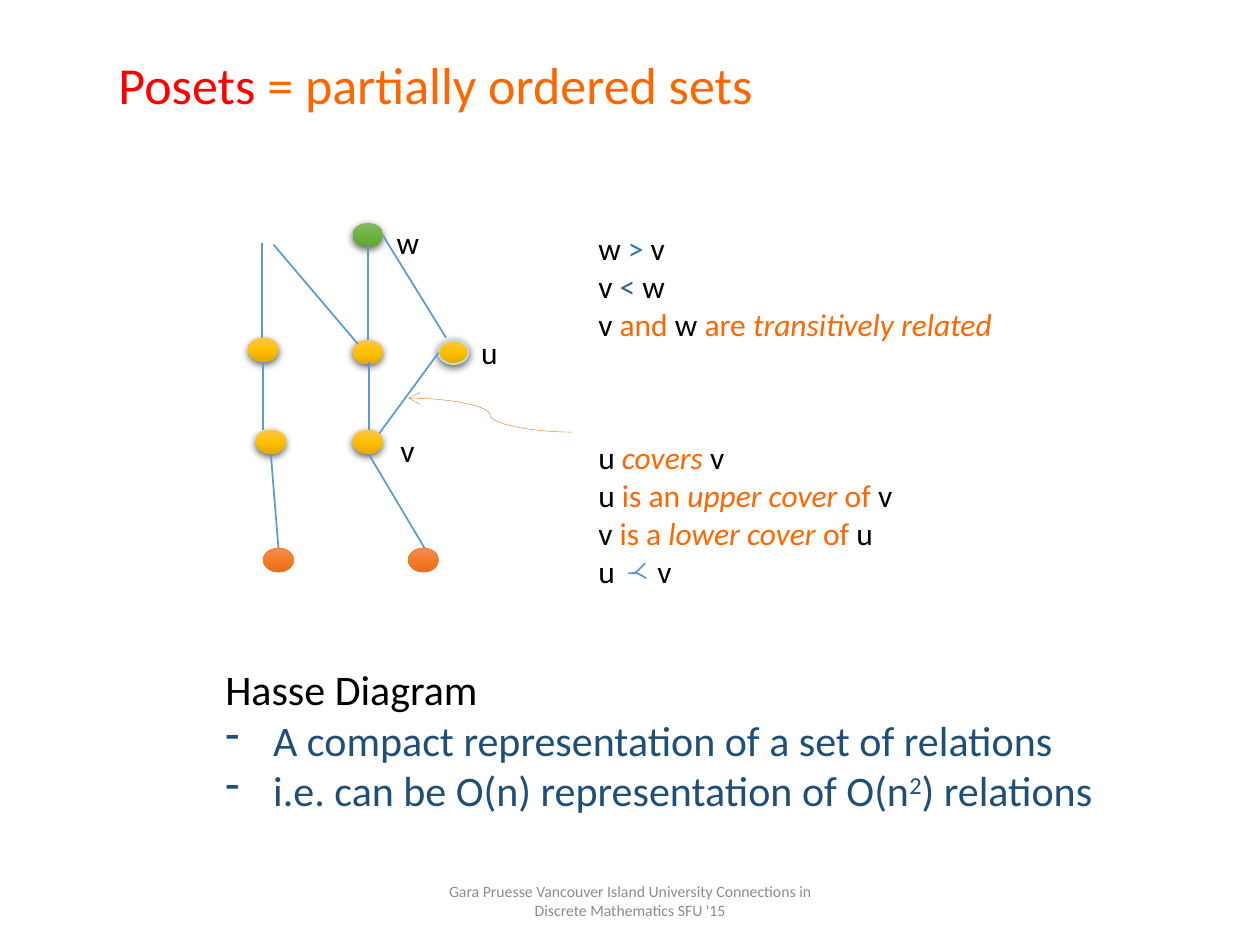
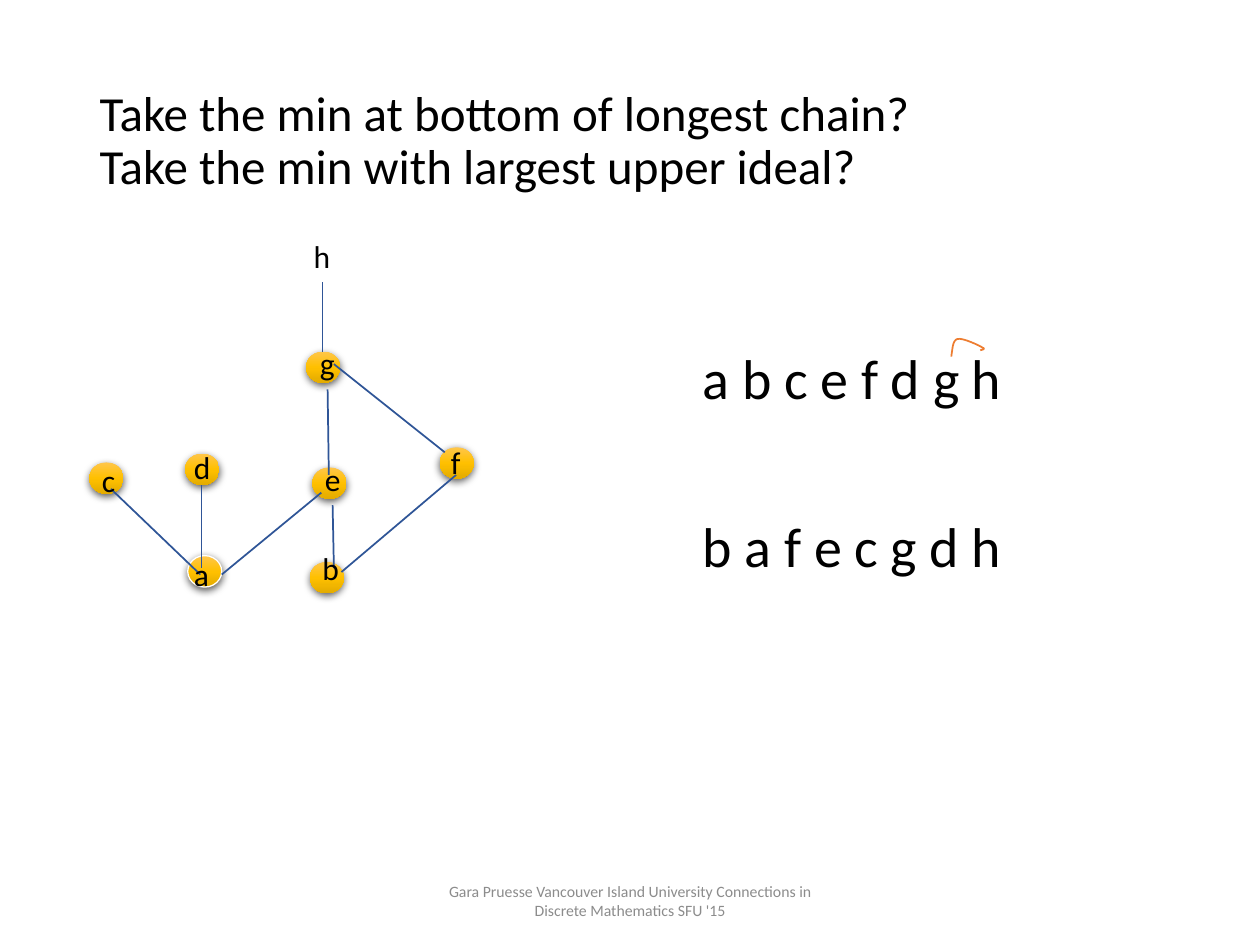
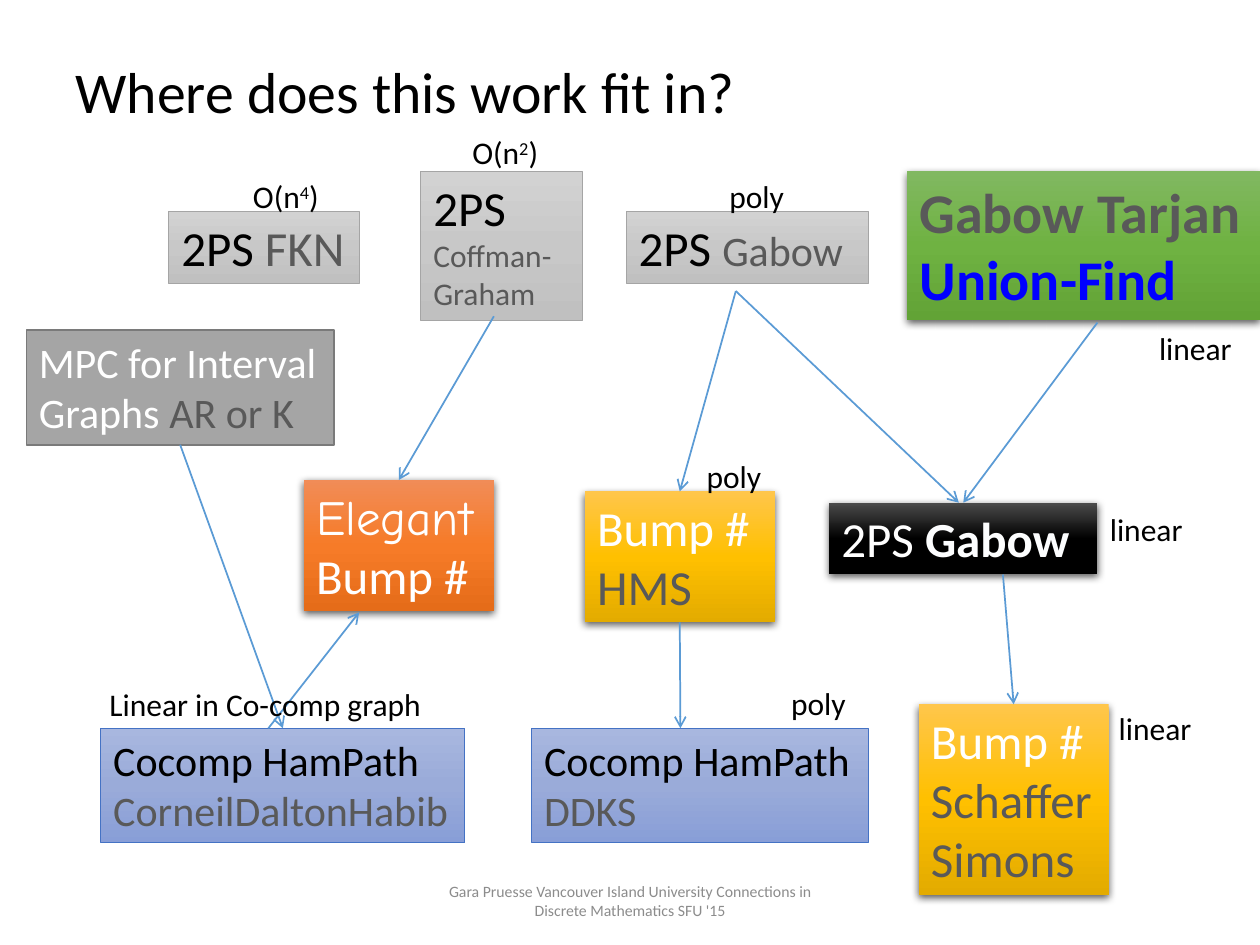
from dataclasses import dataclass

import lxml.etree
import pptx
import pptx.dml.color
import pptx.enum.shapes
import pptx.enum.text
import pptx.oxml.ns
import pptx.util

SHAPE = pptx.enum.shapes.MSO_SHAPE
CONNECTOR = pptx.enum.shapes.MSO_CONNECTOR
ANCHOR = pptx.enum.text.MSO_ANCHOR
ALIGN = pptx.enum.text.PP_ALIGN
FIT = pptx.enum.text.MSO_AUTO_SIZE

COLUMNS, ROWS = 100, 75
TOP, BOTTOM = 0, 2
FACE = "Calibri"
FOOTER = "Gara Pruesse Vancouver Island University Connections in Discrete Mathematics SFU '15"

BLACK, WHITE, GREY, BLUE = "000000", "FFFFFF", "595959", "5B9BD5"
ACCENT, NAVY, CURVE_INK, EDGE_INK = "FF6600", "1F4E79", "ED7D31", "2F5597"
GOLD = ("FFC64B", "FFC000", "E3AB00")
GREEN = ("81B861", "6FB242", "62A336")
ORANGE = ("F18C57", "F67B28", "E56C19")
SILVER = ("D2D2D2", "C8C8C8", "C0C0C0")
PERIWINKLE = ("A8B7DF", "9AABD9", "889ED7")
COAL = ("4B4B4B", "000000", "000000")


@dataclass
class Span:
    """A piece of text with what differs from its paragraph."""
    text: str
    color: str = None
    size: float = None
    italic: bool = None
    bold: bool = None
    face: str = None
    raised: bool = False


def rgb(hex_color):
    return pptx.dml.color.RGBColor.from_string(hex_color)


def child(parent, name, **attributes):
    return lxml.etree.SubElement(parent, pptx.oxml.ns.qn(name), attributes)


def accent(text, italic=None):
    return Span(text, ACCENT, italic=italic)


def grey(text, size=None):
    return Span(text, GREY, size)


def power(before, exponent, after):
    return [before, Span(exponent, raised=True), after]


def cubic(start, first, second, end, steps=8):
    """Points along a Bezier curve, without its start."""
    points = []
    for step in range(1, steps + 1):
        t = step / steps
        weights = ((1 - t) ** 3, 3 * t * (1 - t) ** 2, 3 * t ** 2 * (1 - t), t ** 3)
        points.append(tuple(sum(w * p[axis] for w, p in zip(weights, (start, first, second, end)))
                            for axis in (0, 1)))
    return points


class Talk:
    def __init__(self):
        self.deck = pptx.Presentation()
        self.deck.slide_width = pptx.util.Inches(10)
        self.deck.slide_height = pptx.util.Inches(7.5)
        self.page = None

    def place(self, *lengths):
        """Turn alternating columns and rows into slide lengths."""
        units = (self.deck.slide_width / COLUMNS, self.deck.slide_height / ROWS)
        return [round(length * units[i % 2]) for i, length in enumerate(lengths)]

    def start(self, at, lines, size):
        """Open a page with its title and the shared footer."""
        self.page = self.deck.slides.add_slide(self.deck.slide_layouts[5])
        title = self.page.shapes.title
        title.left, title.top, title.width, title.height = self.place(*at)
        self.set_text(title, lines, size, anchor=ANCHOR.MIDDLE, fit=FIT.NONE)
        for para in title.text_frame.paragraphs:
            para.line_spacing = 0.9
        box = self.page.shapes.add_textbox(*self.place(33.1, 69.5, 33.8, 4))
        self.set_text(box, [[FOOTER]], 9, "8C8C8C", anchor=ANCHOR.MIDDLE, fit=FIT.NONE)
        box.text_frame.paragraphs[0].alignment = ALIGN.CENTER

    def set_text(self, box, lines, size, color=BLACK, wrap=True, anchor=ANCHOR.TOP,
                 fit=FIT.SHAPE_TO_FIT_TEXT):
        frame = box.text_frame
        frame.word_wrap, frame.vertical_anchor, frame.auto_size = wrap, anchor, fit
        for index, line in enumerate(lines):
            para = frame.paragraphs[0] if index == 0 else frame.add_paragraph()
            para.alignment = ALIGN.LEFT
            para.font.name, para.font.size = FACE, pptx.util.Pt(size)
            para.font.color.rgb = rgb(color)
            for piece in line:
                self.add_span(para, piece if isinstance(piece, Span) else Span(piece))

    def add_span(self, para, piece):
        span = para.add_run()
        span.text = piece.text
        span.font.italic, span.font.bold = piece.italic, piece.bold
        if piece.face:
            span.font.name = piece.face
        if piece.size:
            span.font.size = pptx.util.Pt(piece.size)
        if piece.color:
            span.font.color.rgb = rgb(piece.color)
        if piece.raised:
            span.font._element.set("baseline", "30000")

    def label(self, at, *lines, size=18):
        box = self.page.shapes.add_textbox(*self.place(*at))
        self.set_text(box, lines, size, wrap=False)
        return box

    def solid(self, kind, at, fill, line=None, weight=0.5, shadow=False):
        """A preset shape; a tuple as fill is a top-to-bottom gradient."""
        shape = self.page.shapes.add_shape(kind, *self.place(*at))
        if isinstance(fill, tuple):
            shape.fill.gradient()
            shape.fill.gradient_angle = 270
            stops = shape._element.spPr.find(".//" + pptx.oxml.ns.qn("a:gsLst"))
            stops.clear()
            for position, color in zip(("0", "50000", "100000"), fill):
                child(child(stops, "a:gs", pos=position), "a:srgbClr", val=color)
        else:
            shape.fill.solid()
            shape.fill.fore_color.rgb = rgb(fill)
        if line:
            self.stroke(shape, line, weight)
        else:
            shape.line.fill.background()
        shape.shadow.inherit = False
        if shadow:
            effects = shape._element.spPr.find(pptx.oxml.ns.qn("a:effectLst"))
            outer = child(effects, "a:outerShdw", blurRad="57150", dist="19050",
                          dir="5400000", algn="ctr", rotWithShape="0")
            child(child(outer, "a:srgbClr", val=BLACK), "a:alpha", val="63000")
        return shape

    def stroke(self, shape, color, weight):
        shape.line.color.rgb = rgb(color)
        shape.line.width = pptx.util.Pt(weight)

    def node(self, at, size, fill=GOLD, line=None, weight=0.5, shadow=True):
        return self.solid(SHAPE.OVAL, (*at, *size), fill, line, weight, shadow)

    def block(self, at, fill, *lines, size=28, color=WHITE, line=None, weight=0.5, wrap=True):
        """A rectangle with text; it has either an outline or a shadow."""
        shape = self.solid(SHAPE.RECTANGLE, at, fill, line, weight, shadow=line is None)
        self.set_text(shape, lines, size, color, wrap)
        return shape

    def edge(self, ends, color=BLUE, weight=1, arrow=False, kind=CONNECTOR.STRAIGHT,
             begin=None, end=None):
        """A connector; begin and end may each be a (shape, side) to join."""
        edge = self.page.shapes.add_connector(kind, *self.place(*ends))
        if begin:
            edge.begin_connect(*begin)
        if end:
            edge.end_connect(*end)
        self.stroke(edge, color, weight)
        outline = edge._element.spPr
        if arrow:
            child(outline.find(pptx.oxml.ns.qn("a:ln")), "a:tailEnd", type="arrow")
        child(outline, "a:effectLst")

    def curve(self, start, pieces, color):
        """An open outline of Bezier pieces (two handles and an end each)."""
        points = [start]
        for piece in pieces:
            points += cubic(points[-1], *piece)
        points = [self.place(*point) for point in points]
        builder = self.page.shapes.build_freeform(*points[0])
        builder.add_line_segments(points[1:], close=False)
        shape = builder.convert_to_shape()
        shape.fill.background()
        self.stroke(shape, color, 1)
        shape.shadow.inherit = False


def add_hasse_page(talk):
    talk.start((8.4, 6.2, 90, 1.5),
               [[Span("Posets ", "FF0000"), accent("= partially ordered sets")]], 29.7)
    dot = (2.4, 1.9)
    talk.node((28, 17.7), dot, GREEN)
    for at in ((28, 27), (19.7, 26.8), (28, 34.1), (20.3, 34.1)):
        talk.node(at, dot)
    talk.node((34.8, 27), dot, line="BBE0E3", weight=1)
    for left in (32.4, 20.9):
        talk.node((left, 43.5), dot, ORANGE, line=CURVE_INK, shadow=False)
    for name, left, top in (("u", 37.2, 25.9), ("v", 30.8, 33.7), ("w", 30.5, 17.2)):
        talk.label((left, top, 3.3, 4), [name])

    points = talk.label((16.9, 52.2, 71.7, 13.1), ["Hasse Diagram"],
                        [Span("A compact representation of a set of relations", NAVY)],
                        [Span("i.e. can be O(n) representation of O(n", NAVY),
                         Span("2", NAVY, raised=True), Span(") relations", NAVY)], size=24)
    for para in points.text_frame.paragraphs[1:]:
        layout = para._p.get_or_add_pPr()
        indent = pptx.util.Inches(0.38)
        layout.set("marL", str(indent))
        layout.set("indent", str(-indent))
        bullet = child(layout, "a:buChar", char="-")
        layout.insert(0, bullet)

    talk.edge((45.4, 34.3, 32.4, 31.6), CURVE_INK, 0.25, arrow=True, kind=CONNECTOR.CURVE)
    covers = talk.label((46.5, 34.3, 25.6, 13.1),
                        ["u ", accent("covers", True), " v"],
                        ["u ", accent("is an "), accent("upper cover ", True), accent("of "), "v"],
                        ["v ", accent("is a "), accent("lower cover ", True), accent("of"), " u"],
                        ["u\tv"])
    layout = covers.text_frame.paragraphs[-1]._p.get_or_add_pPr()
    tabs = child(layout, "a:tabLst")
    child(tabs, "a:tab", pos=str(pptx.util.Inches(0.47)), algn="l")
    layout.insert(0, tabs)
    talk.curve((51.2, 44.7), [((50.9, 45), (50.7, 45.2), (50.5, 45.4)),
                              ((50.3, 45.5), (49.9, 45.5), (49.9, 45.5)),
                              ((49.9, 45.5), (50.4, 45.5), (50.6, 45.5)),
                              ((50.8, 45.6), (51.3, 45.9), (51.3, 45.9))], BLUE)
    talk.label((46.5, 17.7, 34.1, 13.1),
               ["w", Span(" > ", "2E75B6"), "v"],
               ["v ", Span("< ", "376092"), "w"],
               ["v ", accent("and"), " w ", accent("are "), accent("transitively related", True)])
    for ends in ((21.5, 36.1, 22.1, 43.5), (34.8, 28, 30.1, 34.4), (20.8, 19.3, 20.8, 26.8),
                 (29.2, 19.5, 29.2, 27), (20.9, 28.7, 20.9, 34.1), (29.3, 36.1, 33.7, 43.5),
                 (30.4, 18.7, 35.4, 26.8), (29.3, 28.7, 29.3, 34.1), (21.7, 19.4, 28.4, 27.3)):
        talk.edge(ends)


def add_chain_page(talk):
    talk.start((6.9, 4, 86.2, 14.5), [["Take the min at bottom of longest chain?"],
                                      ["Take the min with largest upper ideal?"]], 28)
    dot = (2.7, 2.5)
    for at in ((24.3, 27.9), (34.9, 35.5), (14.7, 36), (7.1, 36.7), (24.6, 44.6), (24.8, 37.1)):
        talk.node(at, dot)
    talk.node((14.9, 44.1), dot, line=WHITE, weight=0.75)
    for ends in ((16, 38.5, 16, 45.1), (25.6, 22.4, 25.6, 27.9), (26.5, 28.9, 35.3, 35.9),
                 (26, 30.9, 26.1, 37.7), (17.6, 45.6, 25.5, 39.1), (26.4, 40.1, 26.5, 45.1),
                 (36.2, 37.7, 27.1, 45.4), (8.8, 38.8, 15.9, 45.6)):
        talk.edge(ends, EDGE_INK)
    for name, left, top in (("b", 24.6, 43.1), ("e", 24.8, 36), ("c", 7.1, 36.1),
                            ("g", 24.4, 26.8), ("d", 14.4, 35.1), ("a", 14.4, 43.6),
                            ("f", 34.8, 34.7), ("h", 23.9, 18.3)):
        talk.label((left, top, 3.2, 4), [name])
    for order, top in (("a b c e f d g h", 26.8), ("b a f e c g d h", 40.1)):
        talk.label((54.8, top, 26, 6.4), [order], size=32)
    talk.curve((75.5, 28.3), [((75.6, 27.7), (75.6, 27), (76, 26.9)),
                              ((76.4, 26.8), (77.7, 27.4), (78, 27.6)),
                              ((78.3, 27.7), (77.8, 27.8), (77.8, 27.8))], CURVE_INK)


def add_context_page(talk):
    talk.start((5, 3, 90, 9.1), [["Where does this work fit in?"]], 33)
    silver = dict(color=BLACK, line="A5A5A5")
    talk.block((13.4, 16.8, 15.1, 5.7), SILVER, ["2PS ", grey("FKN")], **silver)
    talk.block((49.7, 16.8, 19.2, 5.7), SILVER, ["2PS ", grey("Gabow", 24)], **silver)
    talk.block((33.4, 13.6, 12.8, 11.8), SILVER, ["2PS ", grey("Coffman- Graham", 18)], **silver)
    schaffer = talk.block((72.9, 55.9, 15.1, 15.1), GOLD, ["Bump # ", grey("Schaffer Simons")])
    hms = talk.block((46.4, 39, 15.1, 10.4), GOLD, ["Bump # ", grey("HMS")])
    gabow = talk.block((65.8, 39.9, 21.3, 5.7), COAL,
                       ["2PS ", Span("Gabow", "FCFDFE", bold=True)])
    talk.block((72, 13.6, 28, 11.8), GREEN, [Span("Gabow Tarjan", bold=True)],
               [Span("Union-Find", "0000FF", bold=True)], size=32, color=GREY)
    cocomp = dict(size=24, color=BLACK, line="4472C4", wrap=False)
    talk.block((42.2, 57.8, 26.7, 9.1), PERIWINKLE, ["Cocomp HamPath"], [grey("DDKS")], **cocomp)
    corneil = talk.block((8, 57.8, 28.9, 9.1), PERIWINKLE, ["Cocomp HamPath"],
                         [grey("CorneilDaltonHabib")], **cocomp)
    interval = talk.block((2.1, 26.2, 24.4, 9.1), "A5A5A5", ["MPC for Interval"],
                          ["Graphs ", grey("AR or K")], size=24, line="7A7A7A", weight=1,
                          wrap=False)
    elegant = talk.block((24.1, 38.1, 15.1, 10.4), ORANGE,
                         [Span("Elegant ", face="Comic Neue"), "Bump #"])

    for ends, begin, end in (
            ((58.4, 23.1, 54, 39), None, (hms, TOP)),
            ((58.4, 23.1, 76.1, 39.9), None, None),
            ((87.1, 25.6, 76.5, 39.9), None, (gabow, TOP)),
            ((79.6, 45.6, 80.5, 55.9), None, (schaffer, TOP)),
            ((54, 49.4, 54, 57.8), (hms, BOTTOM), None),
            ((14.3, 35.3, 22.5, 57.8), (interval, BOTTOM), (corneil, TOP)),
            ((39.2, 25.1, 31.7, 38.1), None, (elegant, TOP)),
            ((21.3, 57.8, 28.5, 48.6), None, None)):
        talk.edge(ends, arrow=True, begin=begin, end=end)

    for left, top in ((87.1, 40), (91, 25.6), (87.8, 55.8)):
        talk.label((left, top, 7.8, 4), ["linear"])
    for left, top in ((56.9, 13.6), (61.8, 53.8), (55.1, 35.8)):
        talk.label((left, top, 6.4, 4), ["poly"])
    for left, top, exponent in ((36.5, 10.1, "2"), (19.1, 13.6, "4")):
        talk.label((left, top, 7.4, 4), power("O(n", exponent, ")"))
    talk.label((7.7, 53.9, 27.1, 4), ["Linear in Co-comp graph"])


def main():
    talk = Talk()
    add_hasse_page(talk)
    add_chain_page(talk)
    add_context_page(talk)
    talk.deck.save("out.pptx")


if __name__ == "__main__":
    main()
